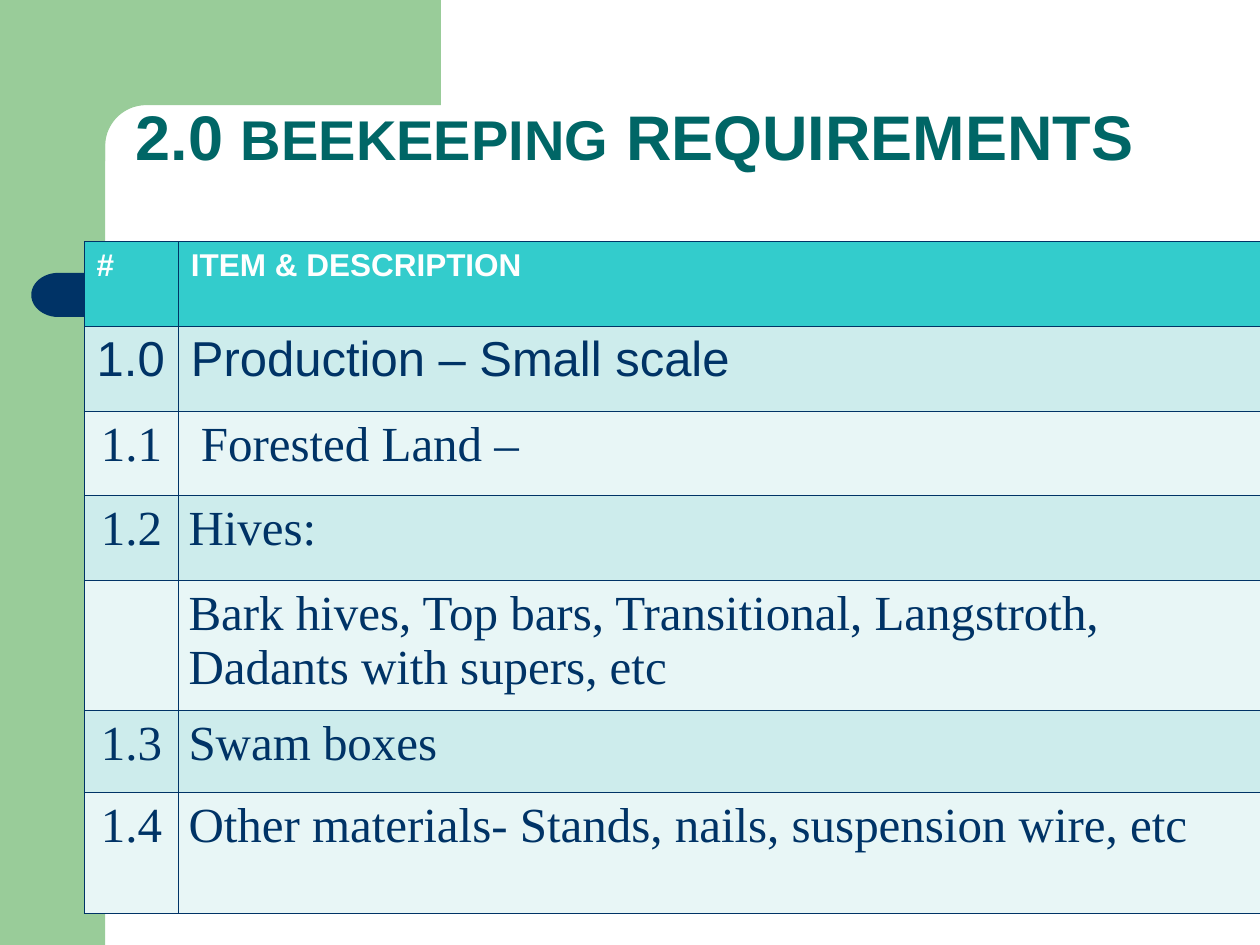
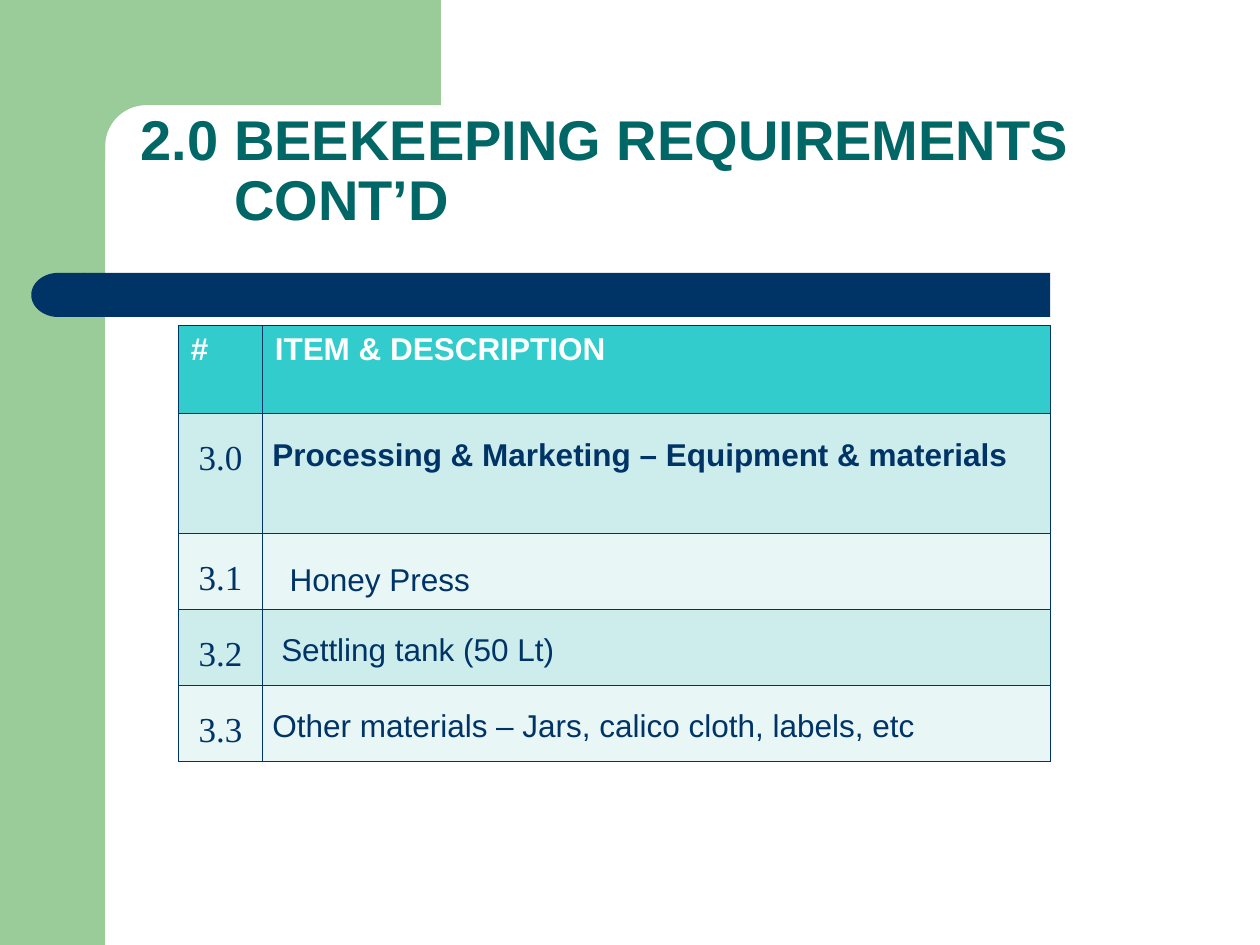
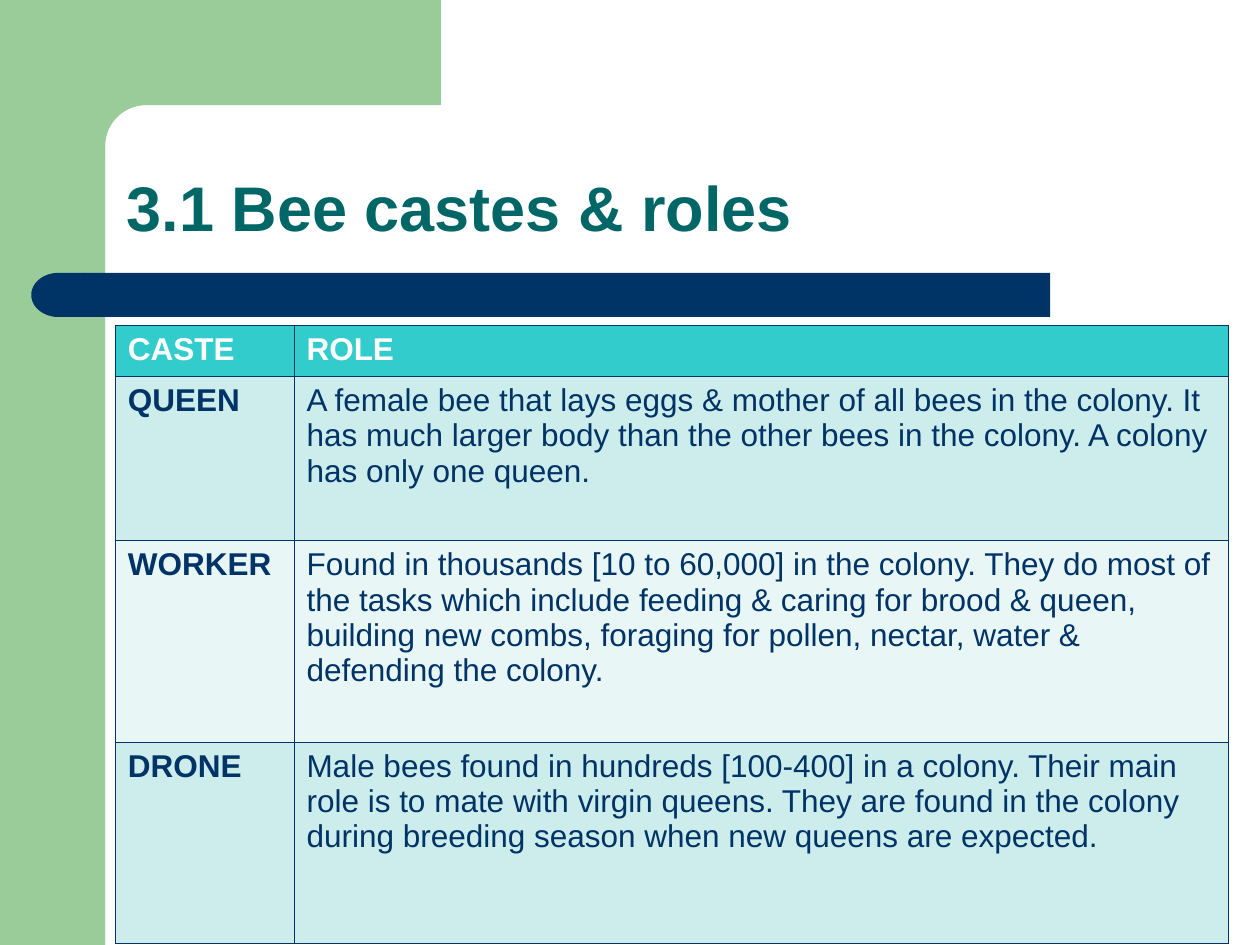
from dataclasses import dataclass
from math import cos, radians, sin

from lxml.etree import SubElement
from pptx import Presentation
from pptx.dml.color import RGBColor as RGB
from pptx.enum.shapes import MSO_SHAPE as Shape
from pptx.enum.text import MSO_ANCHOR as Anchor, PP_ALIGN as Align
from pptx.oxml.ns import qn
from pptx.util import Cm, Pt


@dataclass(frozen=True)
class Theme:
    green: RGB = RGB(0x99, 0xCC, 0x99)
    navy: RGB = RGB(0x00, 0x33, 0x66)
    teal: RGB = RGB(0x00, 0x66, 0x66)
    white: RGB = RGB(0xFF, 0xFF, 0xFF)
    header: RGB = RGB(0x33, 0xCC, 0xCC)
    bands: tuple = (RGB(0xCD, 0xEC, 0xEC), RGB(0xE8, 0xF6, 0xF6))
    sans: str = "Arial"
    serif: str = "Times New Roman"
    title: int = 36
    title_small: int = 32
    large: int = 28
    number: int = 20
    body: int = 18
    border: float = 0.45


theme = Theme()


def write(frame, text, size=theme.body, color=theme.navy, font=theme.sans, bold=False,
          align=Align.LEFT, spacing=1.0, indent=0, hanging=0, side=0.25):
    """Fill a text frame or cell; text is a string or a list of (words, size)."""
    frame.margin_left = frame.margin_right = Cm(side)
    frame.margin_top = frame.margin_bottom = Cm(0.13)
    paragraph = getattr(frame, "text_frame", frame).paragraphs[0]
    paragraph.alignment = align
    paragraph.line_spacing = spacing
    properties = paragraph._p.get_or_add_pPr()
    properties.set("marL", str(Cm(indent + hanging)))
    properties.set("indent", str(-Cm(hanging)))
    for words, points in [(text, size)] if isinstance(text, str) else text:
        for number, line in enumerate(words.split("\n")):
            if number:
                paragraph.add_line_break()
            run = paragraph.add_run()
            run.text = line
            run.font.size = Pt(points)
            run.font.name = font
            run.font.bold = bold
            run.font.color.rgb = color


def paint(shape, color):
    shape.shadow.inherit = False
    shape.fill.solid()
    shape.fill.fore_color.rgb = color
    shape.line.fill.background()


# Cell formats
head = dict(color=theme.white, bold=True)
large = dict(size=theme.large)
item = dict(size=theme.large, font=theme.serif, side=0.2)
item_number = dict(item, align=Align.CENTER)
step = dict(spacing=1.5, side=0.2)
step_number = dict(step, size=theme.number, font=theme.serif, align=Align.CENTER)
caste = dict(bold=True)
role = {}

# Content: lengths in centimetres, each cell is (text, format)
item_header = [("#", head), ("ITEM & DESCRIPTION", head)]
pages = [
    dict(
        title=[("2.0 ", theme.title), ("BEEKEEPING", theme.title_small),
               (" REQUIREMENTS", theme.title)],
        title_box=(2.49, 1.24, 22.3, 2.41), hanging=0,
        corner=(1.7, 4.87), columns=(1.9, 21.8),
        heights=(1.7, 1.72, 1.7, 1.7, 2.44, 1.65, 2.44),
        rows=[
            item_header,
            [("1.0", large), ("Production – Small scale", large)],
            [("1.1", item_number), ("Forested Land –", dict(item, indent=0.25))],
            [("1.2", item_number), ("Hives:", item)],
            [("", item_number),
             ("Bark hives, Top bars, Transitional, Langstroth, Dadants with supers, etc", item)],
            [("1.3", item_number), ("Swam boxes", item)],
            [("1.4", item_number),
             ("Other materials- Stands, nails, suspension wire, etc", item)],
        ],
    ),
    dict(
        title=[("2.0 BEEKEEPING REQUIREMENTS\nCONT’D", theme.title_small)],
        title_box=(2.59, 2.59, 22.35, 2.24), hanging=1.88,
        corner=(3.6, 6.56), columns=(1.69, 15.88),
        heights=(1.78, 2.41, 1.42, 1.42, 1.42),
        rows=[
            item_header,
            [("3.0", step_number),
             ("Processing & Marketing – Equipment & materials", dict(step, bold=True))],
            [("3.1", step_number), ("Honey Press", dict(step, indent=0.35, spacing=1.65))],
            [("3.2", step_number), ("Settling tank (50 Lt)", dict(step, indent=0.18))],
            [("3.3", step_number),
             ("Other materials – Jars, calico cloth, labels, etc", step)],
        ],
    ),
    dict(
        title=[("3.1 Bee castes & roles", theme.title)],
        title_box=(2.31, 2.31, 21.62, 2.77), hanging=0,
        corner=(2.33, 6.56), columns=(3.6, 18.84),
        heights=(1.03, 3.31, 4.06, 4.06),
        rows=[
            [("CASTE", head), ("ROLE", head)],
            [("QUEEN", caste),
             ("A female bee that lays eggs & mother of all bees in the colony. It has much "
              "larger body than the other bees in the colony. A colony has only one queen.",
              role)],
            [("WORKER", caste),
             ("Found in thousands [10 to 60,000] in the colony. They do most of the tasks "
              "which include feeding & caring for brood & queen, building new combs, "
              "foraging for pollen, nectar, water & defending the colony.", role)],
            [("DRONE", caste),
             ("Male bees found in hundreds [100-400] in a colony. Their main role is to mate "
              "with virgin queens. They are found in the colony during breeding season when "
              "new queens are expected.", role)],
        ],
    ),
]

# Outline of the top band, with a rounded inner corner
bend, radius = 2.95, 0.83
curve = [(bend - radius * sin(radians(a)), bend - radius * cos(radians(a)))
         for a in range(0, 91, 6)]
top_outline = [(8.89, 0), (8.89, 2.12), *curve, (2.12, 3.25), (1.27, 3.25)]

deck = Presentation()
deck.slide_width, deck.slide_height = Cm(25.4), Cm(19.05)

for page in pages:
    slide = deck.slides.add_slide(deck.slide_layouts[6])
    shapes = slide.shapes

    # Green frame
    side_band = shapes.add_shape(Shape.RECTANGLE, 0, 0, Cm(2.12), deck.slide_height)
    paint(side_band, theme.green)
    outline = shapes.build_freeform(Cm(1.27), 0)
    outline.add_line_segments([(Cm(x), Cm(y)) for x, y in top_outline])
    paint(outline.convert_to_shape(), theme.green)

    # Navy bar with a round left end
    bar = shapes.add_shape(Shape.RECTANGLE, Cm(1.7), Cm(5.5), Cm(19.47), Cm(0.89))
    paint(bar, theme.navy)
    bar_end = shapes.add_shape(Shape.FLOWCHART_DELAY, Cm(0.63), Cm(5.5), Cm(1.09), Cm(0.89))
    bar_end.rotation = 180
    paint(bar_end, theme.navy)

    # Title
    title = shapes.add_textbox(*map(Cm, page["title_box"])).text_frame
    title.word_wrap = True
    title.vertical_anchor = Anchor.BOTTOM
    write(title, page["title"], color=theme.teal, bold=True, spacing=0.9,
          hanging=page["hanging"])

    # Table
    rows, columns, heights = page["rows"], page["columns"], page["heights"]
    table = shapes.add_table(len(rows), len(columns), *map(Cm, page["corner"]),
                             Cm(sum(columns)), Cm(sum(heights))).table
    table.first_row = table.horz_banding = False
    for column, width in zip(table.columns, columns):
        column.width = Cm(width)
    for r, (row, height) in enumerate(zip(rows, heights)):
        table.rows[r].height = Cm(height)
        for c, (text, style) in enumerate(row):
            cell = table.cell(r, c)
            if text:
                write(cell, text, **style)
            # Borders come before the fill in the cell properties
            for edge in ("a:lnL", "a:lnR", "a:lnT", "a:lnB"):
                line = SubElement(cell._tc.get_or_add_tcPr(), qn(edge),
                                  w=str(Pt(theme.border)))
                ink = SubElement(line, qn("a:solidFill"))
                SubElement(ink, qn("a:srgbClr"), val=str(theme.navy))
            cell.fill.solid()
            cell.fill.fore_color.rgb = theme.bands[(r - 1) % 2] if r else theme.header

deck.save("out.pptx")
